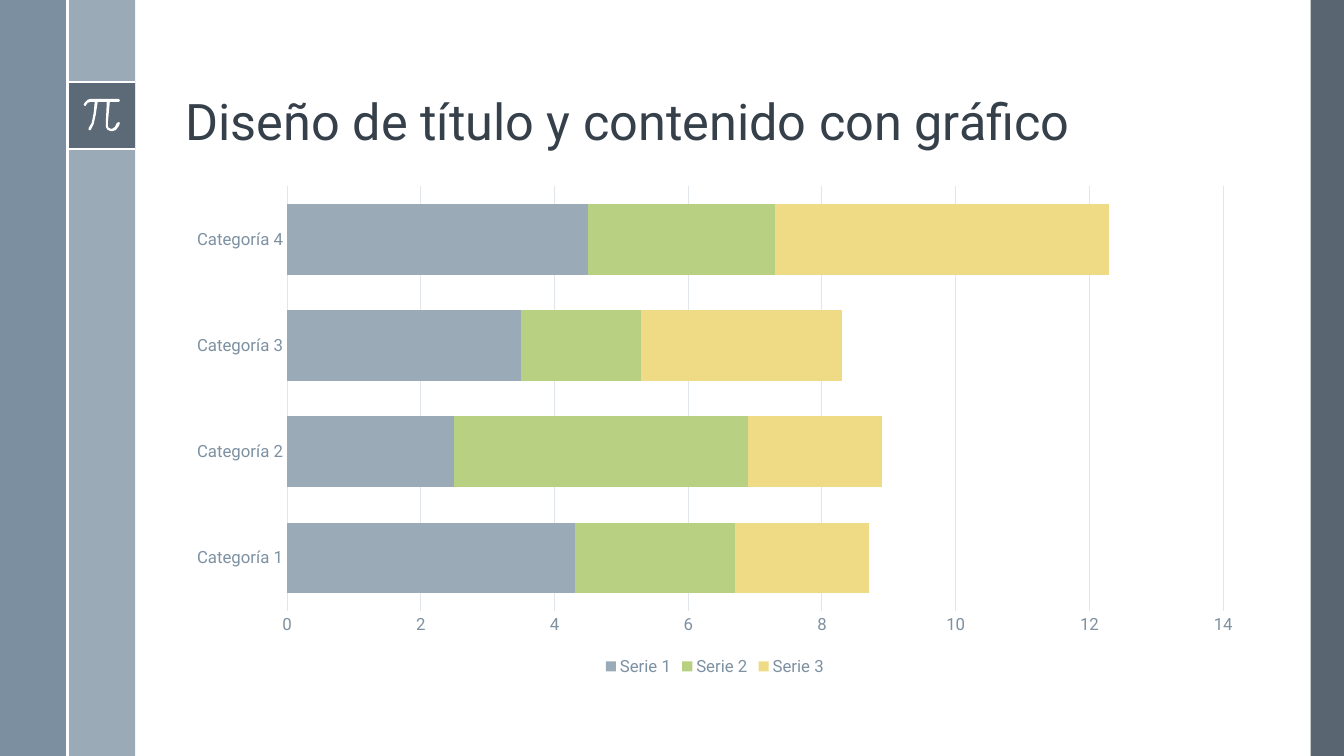
from lxml.etree import SubElement
from pptx import Presentation
from pptx.chart.data import CategoryChartData
from pptx.dml.color import RGBColor
from pptx.enum.chart import XL_CHART_TYPE, XL_LEGEND_POSITION, XL_TICK_MARK
from pptx.enum.shapes import MSO_CONNECTOR, MSO_SHAPE
from pptx.enum.text import MSO_ANCHOR, MSO_AUTO_SIZE, PP_ALIGN
from pptx.oxml.ns import qn
from pptx.util import Inches, Pt

FONT = "Roboto"
WHITE = "FFFFFF"
SLATE = "475562"
LABEL = "7D91A2"
GRID = "E1E6EA"
SLIDE_HEIGHT = 7.5
BAND = 0.67

CATEGORIES = ["Categoría 1", "Categoría 2", "Categoría 3", "Categoría 4"]
SERIES = [
    ("Serie 1", [4.3, 2.5, 3.5, 4.5], "9BAAB7"),
    ("Serie 2", [2.4, 4.4, 1.8, 2.8], "B8D082"),
    ("Serie 3", [2, 2, 3, 5], "EFDB85"),
]
PI_OUTLINE = [
    (1.18, 0.98), (0.9, 0.98), (0.87, 0.99), (0.84, 1.02), (0.83, 1.04),
    (0.84, 1.05), (0.85, 1.05), (0.87, 1.02), (0.9, 1.01), (0.94, 1.01),
    (0.93, 1.12), (0.91, 1.22), (0.88, 1.27), (0.88, 1.29), (0.9, 1.29),
    (0.93, 1.23), (0.95, 1.14), (0.97, 1.01), (1.06, 1.01), (1.05, 1.22),
    (1.05, 1.26), (1.07, 1.29), (1.1, 1.3), (1.12, 1.3), (1.15, 1.29),
    (1.18, 1.25), (1.19, 1.22), (1.18, 1.21), (1.16, 1.22), (1.14, 1.26),
    (1.11, 1.28), (1.08, 1.27), (1.07, 1.25), (1.07, 1.22), (1.09, 1.01),
    (1.18, 1.01), (1.19, 1.0),
]


def color(value):
    """Turn a hex string into a colour."""
    return RGBColor.from_string(value)


def paint(shape, fill, opacity=100):
    """Give a shape a plain fill without line or shadow."""
    shape.shadow.inherit = False
    shape.line.fill.background()
    shape.fill.solid()
    shape.fill.fore_color.rgb = color(fill)
    if opacity < 100:
        tint = shape.fill._xPr.find(".//" + qn("a:srgbClr"))
        SubElement(tint, qn("a:alpha")).set("val", str(opacity * 1000))


def add_band(slide, left, top, width, height, fill, opacity=100):
    """Add a filled rectangle."""
    shape = slide.shapes.add_shape(
        MSO_SHAPE.RECTANGLE, Inches(left), Inches(top), Inches(width), Inches(height))
    paint(shape, fill, opacity)


def add_rule(slide, start, end):
    """Add a thin white line between two points."""
    line = slide.shapes.add_connector(
        MSO_CONNECTOR.STRAIGHT, *[Inches(value) for value in start + end])
    line.line.color.rgb = color(WHITE)
    line.line.width = Pt(1.5)
    SubElement(line._element.spPr, qn("a:effectLst"))


def add_pi(slide):
    """Draw the white pi sign."""
    points = [(Inches(x), Inches(y)) for x, y in PI_OUTLINE]
    builder = slide.shapes.build_freeform(*points[0])
    builder.add_line_segments(points[1:], close=True)
    paint(builder.convert_to_shape(), WHITE)


def format_font(font, size, value):
    """Set typeface, size and colour."""
    font.name = FONT
    font.size = Pt(size)
    font.color.rgb = color(value)


def set_title(slide, text, left, top, width, height):
    """Place and format the title placeholder."""
    title = slide.shapes.title
    title.left, title.top = Inches(left), Inches(top)
    title.width, title.height = Inches(width), Inches(height)
    frame = title.text_frame
    frame.text = text
    frame.word_wrap = True
    frame.auto_size = MSO_AUTO_SIZE.NONE
    frame.vertical_anchor = MSO_ANCHOR.BOTTOM
    paragraph = frame.paragraphs[0]
    paragraph.alignment = PP_ALIGN.LEFT
    paragraph.line_spacing = 0.9
    format_font(paragraph.runs[0].font, 36, "35404A")


def format_axis(axis):
    """Style the labels of an axis and hide its tick marks."""
    axis.major_tick_mark = axis.minor_tick_mark = XL_TICK_MARK.NONE
    format_font(axis.tick_labels.font, 12, LABEL)


def format_line(line):
    """Make a thin pale line."""
    line.color.rgb = color(GRID)
    line.width = Pt(0.75)


def add_stacked_bars(slide, left, top, width, height):
    """Add the stacked bar chart."""
    data = CategoryChartData()
    data.categories = CATEGORIES
    for name, values, _ in SERIES:
        data.add_series(name, values)
    chart = slide.shapes.add_chart(
        XL_CHART_TYPE.BAR_STACKED, Inches(left), Inches(top),
        Inches(width), Inches(height), data).chart
    format_font(chart.font, 10, "465562")
    chart.has_title = False
    chart.has_legend = True
    chart.legend.position = XL_LEGEND_POSITION.BOTTOM
    chart.legend.include_in_layout = False
    format_font(chart.legend.font, 12, LABEL)

    format_axis(chart.category_axis)
    format_line(chart.category_axis.format.line)
    format_axis(chart.value_axis)
    chart.value_axis.format.line.fill.background()
    chart.value_axis.has_major_gridlines = True
    format_line(chart.value_axis.major_gridlines.format.line)

    plot = chart.plots[0]
    plot.gap_width = 50
    plot.overlap = 100
    plot.vary_by_categories = False
    for series, (_, _, fill) in zip(plot.series, SERIES):
        series.format.fill.solid()
        series.format.fill.fore_color.rgb = color(fill)


def add_side_bands(slide):
    """Draw the side bands and the pi tile."""
    tile_top = 0.81
    add_band(slide, 13, 0, 0.33, SLIDE_HEIGHT, SLATE, 90)
    add_band(slide, BAND, 0, BAND, SLIDE_HEIGHT, "9BAAB7")
    add_band(slide, 0, 0, BAND, SLIDE_HEIGHT, "6A8093", 88)
    add_band(slide, BAND, tile_top, BAND, BAND, SLATE, 75)
    for y in (tile_top, tile_top + BAND):
        add_rule(slide, (BAND, y), (2 * BAND, y))
    add_pi(slide)
    add_rule(slide, (BAND, 0), (BAND, SLIDE_HEIGHT))


def main():
    """Build and save the slide."""
    presentation = Presentation()
    presentation.slide_width = Inches(13.33)
    presentation.slide_height = Inches(SLIDE_HEIGHT)
    slide = presentation.slides.add_slide(presentation.slide_layouts[5])
    add_side_bands(slide)
    set_title(slide, "Diseño de título y contenido con gráfico", 1.74, 0.19, 10.7, 1.36)
    add_stacked_bars(slide, 1.74, 1.75, 10.7, 5)
    presentation.save("out.pptx")


main()
